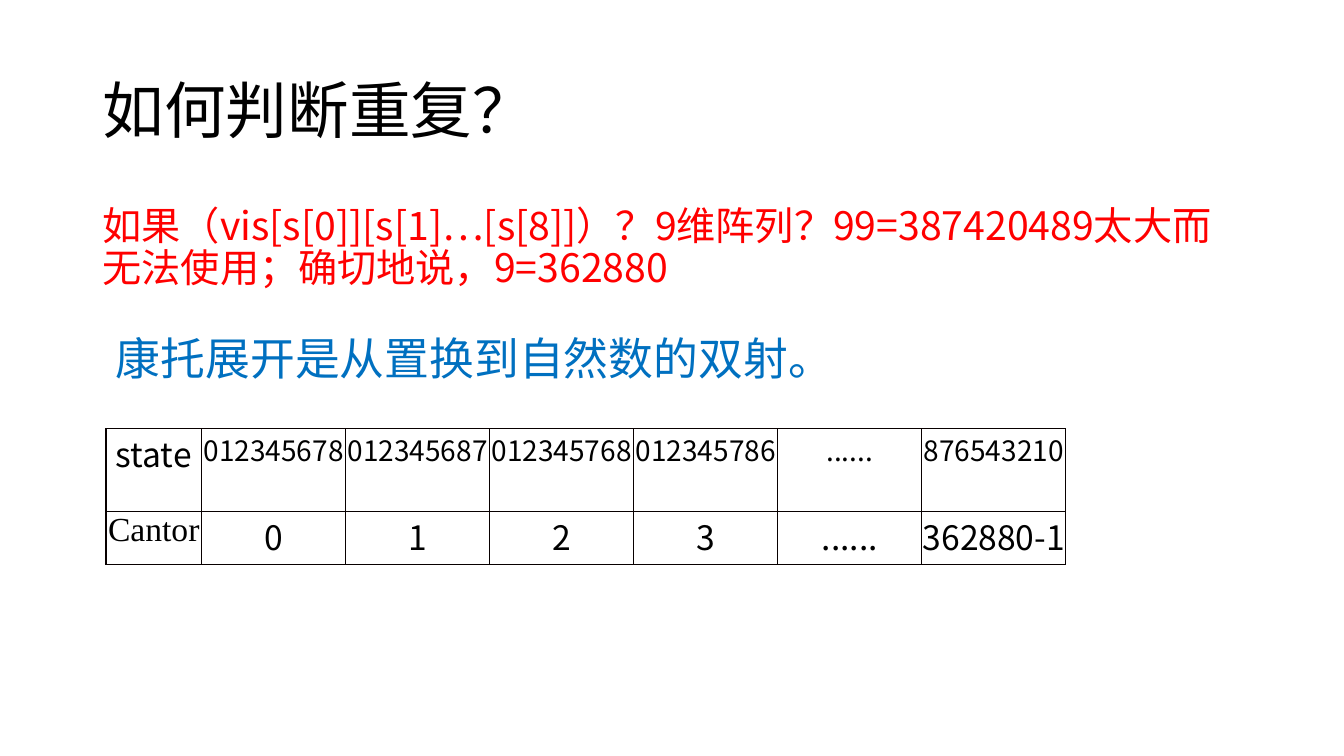
from dataclasses import dataclass

from lxml import etree
from pptx import Presentation
from pptx.dml.color import RGBColor
from pptx.enum.text import MSO_ANCHOR as Anchor, PP_ALIGN as Align
from pptx.oxml.ns import qn
from pptx.util import Cm, Pt


@dataclass(frozen=True)
class Theme:
    sans: str = "Noto Sans CJK SC"
    serif: str = "Times New Roman"
    black: str = "000000"
    red: str = "FF0000"
    blue: str = "0070C0"
    border: str = "080000"
    title_size: int = 44
    question_size: int = 28
    answer_size: int = 32
    cell_size: int = 24
    state_size: int = 20
    border_width: int = 1


THEME = Theme()

STATES = ["state", "012345678", "012345687", "012345768", "012345786",
          "......", "876543210"]
RANKS = ["Cantor", "0", "1", "2", "3", "......", "362880-1"]


def style_runs(paragraph, size, color, font_name=THEME.sans):
    for run in paragraph.runs:
        run.font.size = Pt(size)
        run.font.color.rgb = RGBColor.from_string(color)
        run.font.name = font_name
        # East Asian characters take their typeface from a:ea
        east_asian = etree.SubElement(run.font._element, qn("a:ea"))
        east_asian.set("typeface", font_name)


def add_text(slide, box, text, size, color, anchor=Anchor.MIDDLE):
    frame = slide.shapes.add_textbox(*map(Cm, box)).text_frame
    frame.word_wrap = True
    frame.vertical_anchor = anchor
    frame.text = text
    paragraph = frame.paragraphs[0]
    paragraph.line_spacing = 0.9
    style_runs(paragraph, size, color)


def add_borders(cell):
    properties = cell._tc.get_or_add_tcPr()
    for side in ("lnL", "lnR", "lnT", "lnB"):
        line = etree.SubElement(properties, qn(f"a:{side}"),
                                w=str(Pt(THEME.border_width)))
        fill = etree.SubElement(line, qn("a:solidFill"))
        etree.SubElement(fill, qn("a:srgbClr"), val=THEME.border)


def fill_cell(cell, text, size, font_name):
    cell.margin_left = cell.margin_right = 0
    cell.margin_top = cell.margin_bottom = 0
    add_borders(cell)
    cell.fill.background()
    cell.text_frame.text = text
    paragraph = cell.text_frame.paragraphs[0]
    paragraph.alignment = Align.CENTER
    style_runs(paragraph, size, THEME.black, font_name)


def add_cantor_table(slide):
    column_widths = [2.41] + [3.63] * (len(STATES) - 1)
    row_heights = [2.08, 1.35]
    table = slide.shapes.add_table(
        len(row_heights), len(column_widths), Cm(2.67), Cm(10.8),
        Cm(sum(column_widths)), Cm(sum(row_heights))).table
    table.first_row = table.horz_banding = False
    for column, width in zip(table.columns, column_widths):
        column.width = Cm(width)
    for row, height in zip(table.rows, row_heights):
        row.height = Cm(height)

    for index, (state, rank) in enumerate(zip(STATES, RANKS)):
        is_label = index == 0
        fill_cell(table.cell(0, index), state,
                  THEME.cell_size if is_label else THEME.state_size, THEME.sans)
        fill_cell(table.cell(1, index), rank, THEME.cell_size,
                  THEME.serif if is_label else THEME.sans)


def main():
    presentation = Presentation()
    presentation.slide_width = Cm(33.87)
    presentation.slide_height = Cm(19.05)
    slide = presentation.slides.add_slide(presentation.slide_layouts[6])

    # Title
    add_text(slide, (2.34, 1.02, 29.21, 3.68), "如何判断重复？",
             THEME.title_size, THEME.black)

    # Question about the size of the visited array
    add_text(slide, (2.34, 5.08, 29.21, 12.09),
             "如果（vis[s[0]][s[1]…[s[8]]）？9维阵列？99=387420489"
             "太大而无法使用；确切地说，9=362880",
             THEME.question_size, THEME.red, Anchor.TOP)

    # Permutations and their Cantor ranks
    add_cantor_table(slide)

    # Answer
    add_text(slide, (2.67, 7.82, 26.7, 2.57),
             "康托展开是从置换到自然数的双射。",
             THEME.answer_size, THEME.blue)

    presentation.save("out.pptx")


if __name__ == "__main__":
    main()
